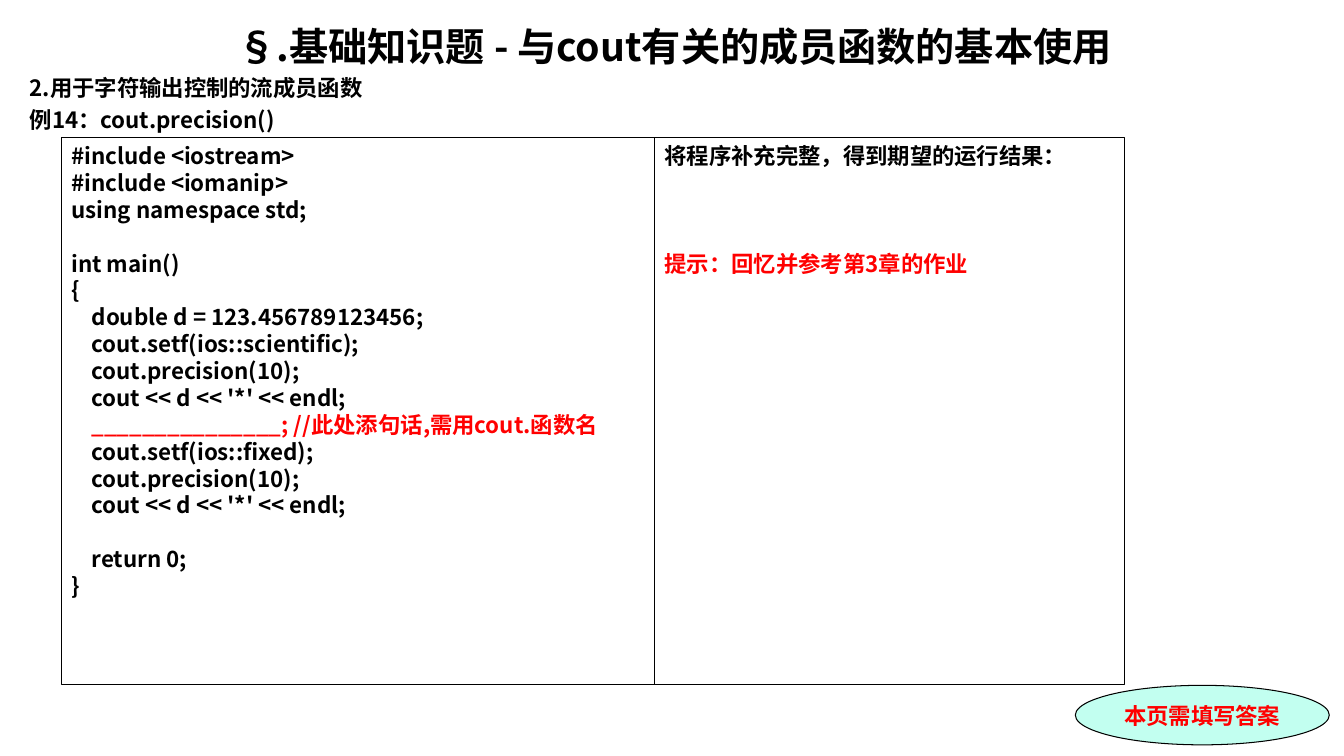
from dataclasses import dataclass

from lxml.etree import SubElement
from pptx import Presentation
from pptx.dml.color import RGBColor
from pptx.enum.shapes import MSO_SHAPE as Preset
from pptx.enum.text import MSO_ANCHOR as Anchor, PP_ALIGN as Align
from pptx.oxml.ns import qn
from pptx.util import Cm, Pt


@dataclass(frozen=True)
class Theme:
    ink: RGBColor = RGBColor(0x00, 0x00, 0x00)
    hint: RGBColor = RGBColor(0xFF, 0x00, 0x00)
    badge: RGBColor = RGBColor(0xC2, 0xFF, 0xF0)
    sans: str = "Noto Sans CJK SC"
    serif: str = "Times New Roman"
    title: int = 28
    body: int = 16
    leading: float = 1.2
    outline: float = 0.75


theme = Theme()


def write_line(frame, runs, first=False, size=theme.body, before=0, align=Align.LEFT, font=theme.sans):
    line = frame.paragraphs[0] if first else frame.add_paragraph()
    line.alignment = align
    line.line_spacing = Pt(size * theme.leading)
    line.space_before = Pt(before)
    for words, color in runs:
        run = line.add_run()
        run.text = words
        run.font.size = Pt(size)
        run.font.bold = True
        run.font.name = font
        run.font.color.rgb = color
        SubElement(run.font._element, qn("a:ea")).set("typeface", theme.sans)


def add_panel(preset, left, top, width, height, anchor=Anchor.TOP):
    panel = slide.shapes.add_shape(preset, Cm(left), Cm(top), Cm(width), Cm(height))
    panel.shadow.inherit = False
    panel.fill.background()
    panel.line.color.rgb = theme.ink
    panel.line.width = Pt(theme.outline)
    panel.text_frame.word_wrap = True
    panel.text_frame.vertical_anchor = anchor
    return panel


deck = Presentation()
deck.slide_width = Cm(33.87)
deck.slide_height = Cm(19.05)
slide = deck.slides.add_slide(deck.slide_layouts[6])

heading = slide.shapes.add_textbox(Cm(0.5), Cm(0.45), Cm(33), Cm(18)).text_frame
heading.word_wrap = True
write_line(heading, [("§.基础知识题 - 与cout有关的成员函数的基本使用", theme.ink)],
           first=True, size=theme.title, align=Align.CENTER)
for topic in ("2.用于字符输出控制的流成员函数", "例14：cout.precision()"):
    write_line(heading, [(topic, theme.ink)], before=theme.body * 0.2)

panel_top, panel_height = 3.46, 13.8
code_left, code_width = 1.55, 14.95
blank_line = theme.body * theme.leading

program = [
    ["#include <iostream>", "#include <iomanip>", "using namespace std;"],
    [
        "int main()",
        "{",
        "    double d = 123.456789123456;",
        "    cout.setf(ios::scientific);",
        "    cout.precision(10);",
        "    cout << d << '*' << endl;",
        "    _______________; //此处添句话,需用cout.函数名",
        "    cout.setf(ios::fixed);",
        "    cout.precision(10);",
        "    cout << d << '*' << endl;",
    ],
    ["    return 0;", "}"],
]
code = add_panel(Preset.RECTANGLE, code_left, panel_top, code_width, panel_height).text_frame
for section_no, section in enumerate(program):
    for line_no, statement in enumerate(section):
        color = theme.hint if "___" in statement else theme.ink
        gap = blank_line if section_no and line_no == 0 else 0
        write_line(code, [(statement, color)], first=section_no + line_no == 0, before=gap)

badge = add_panel(Preset.OVAL, 27.1, 17.27, 6.4, 1.5, Anchor.MIDDLE)
badge.fill.solid()
badge.fill.fore_color.rgb = theme.badge
write_line(badge.text_frame, [("本页需填写答案", theme.hint)],
           first=True, align=Align.CENTER, font=theme.serif)

task = add_panel(Preset.RECTANGLE, code_left + code_width, panel_top, 11.84, panel_height).text_frame
write_line(task, [("将程序补充完整，得到期望的运行结果：", theme.ink)], first=True)
write_line(task, [("提示：回忆并参考第3章的作业", theme.hint)], before=3 * blank_line)

deck.save("out.pptx")
